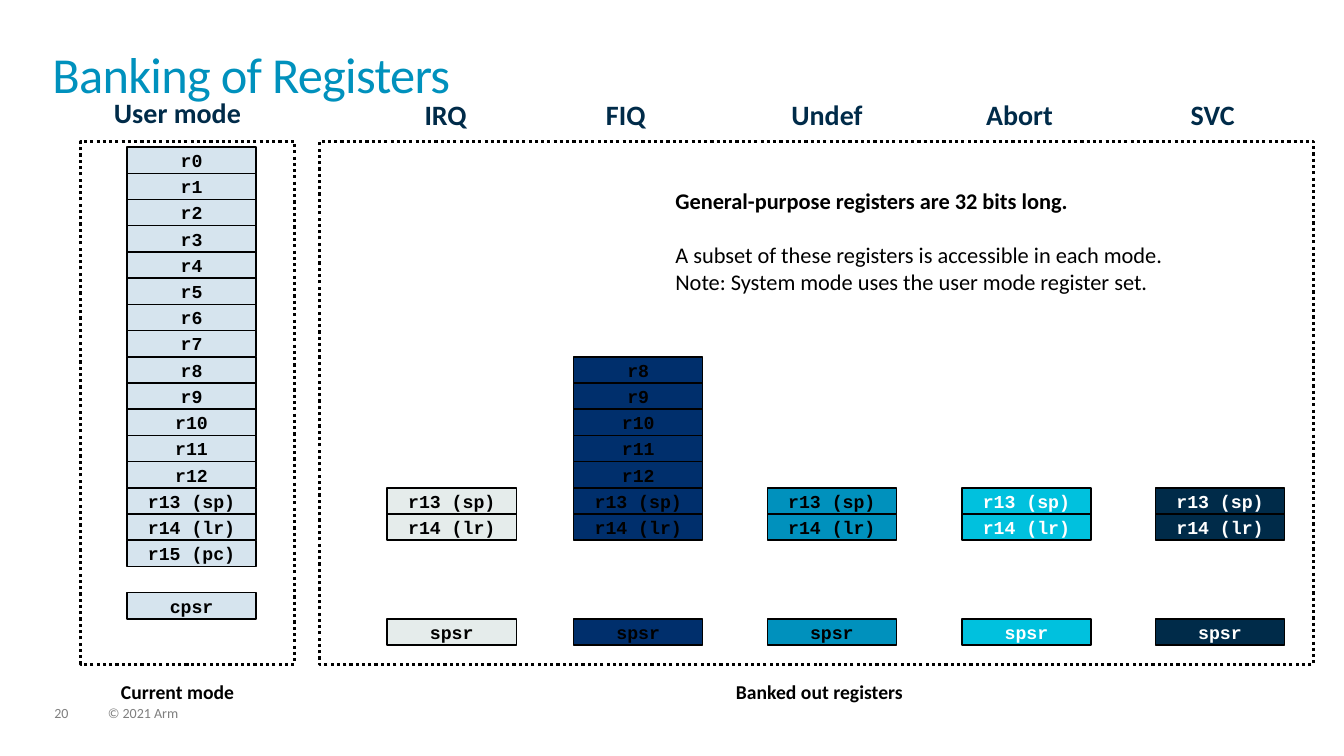
from pptx import Presentation
from pptx.dml.color import RGBColor
from pptx.enum.dml import MSO_LINE
from pptx.enum.shapes import MSO_SHAPE
from pptx.enum.text import MSO_ANCHOR, MSO_AUTO_SIZE, PP_ALIGN
from pptx.util import Pt

PX = 9144
SLIDE_SIZE = (1333, 750)
COLORS = {
    "black": "000000", "white": "FFFFFF", "gray": "7F7F7F",
    "title": "0091BD", "navy": "002B49", "user": "D6E4EE",
    "irq": "E5ECEB", "fiq": "002F6C", "undef": "0091BD", "abort": "00C1DE",
}
BODY_FONT, CODE_FONT = "Calibri", "Courier New"

TITLE = "Banking of Registers"
REGISTERS = [f"r{number}" for number in range(13)] + ["r13 (sp)", "r14 (lr)", "r15 (pc)"]
USER_ROWS = {**dict(enumerate(REGISTERS)), 17: "cpsr"}
FIQ_ROWS = {**dict(enumerate(REGISTERS[8:15], 8)), 18: "spsr"}
BANKED_ROWS = {**dict(enumerate(REGISTERS[13:15], 13)), 18: "spsr"}
MODES = [
    ("User mode", (104, 91, 164, 43), 126, "user", "black", USER_ROWS),
    ("IRQ", (412, 93, 71, 43), 384, "irq", "black", BANKED_ROWS),
    ("FIQ", (592, 93, 69, 43), 569, "fiq", "black", FIQ_ROWS),
    ("Undef", (776, 93, 97, 43), 761, "undef", "black", BANKED_ROWS),
    ("Abort", (969, 93, 97, 43), 954, "abort", "white", BANKED_ROWS),
    ("SVC", (1172, 93, 76, 43), 1146, "navy", "white", BANKED_ROWS),
]
FRAMES = [
    ((80, 140, 212, 519), "Current mode", (111, 670, 149, 32)),
    ((317, 140, 986, 519), "Banked out registers", (721, 670, 207, 32)),
]
NOTES = [
    ("General-purpose registers are 32 bits long.", True, 19.5),
    ("A subset of these registers is accessible in each mode.", False, 0),
    ("Note: System mode uses the user mode register set.", False, 0),
]
NOTES_BOX = (660, 143, 624, 193)
FOOTERS = [("20", (54, 701, 34, 15)), ("© 2021 Arm", (107, 701, 507, 15))]
FIRST_ROW_TOP, ROW_HEIGHT, CELL_WIDTH = 146, 26, 128
INSETS = (9, 4)


def color(name):
    return RGBColor.from_string(COLORS[name])


def emu(box):
    return [value * PX for value in box]


def prepare_frame(shape, insets, anchor=MSO_ANCHOR.TOP):
    frame = shape.text_frame
    frame.word_wrap = True
    frame.auto_size = MSO_AUTO_SIZE.NONE
    frame.vertical_anchor = anchor
    frame.margin_left = frame.margin_right = insets[0] * PX
    frame.margin_top = frame.margin_bottom = insets[1] * PX
    return frame


def add_run(paragraph, text, size, ink, bold=False, font=BODY_FONT, align=PP_ALIGN.LEFT):
    paragraph.alignment = align
    run = paragraph.add_run()
    run.text = text
    run.font.name = font
    run.font.size = Pt(size)
    run.font.bold = bold
    run.font.color.rgb = color(ink)
    return run


def add_label(slide, text, box, size, ink, bold=True, insets=INSETS):
    shape = slide.shapes.add_textbox(*emu(box))
    paragraph = prepare_frame(shape, insets).paragraphs[0]
    add_run(paragraph, text, size, ink, bold)
    return paragraph


def add_rectangle(slide, box, fill=None, line_width=1):
    shape = slide.shapes.add_shape(MSO_SHAPE.RECTANGLE, *emu(box))
    shape.shadow.inherit = False
    if fill:
        shape.fill.solid()
        shape.fill.fore_color.rgb = color(fill)
    else:
        shape.fill.background()
    shape.line.color.rgb = color("black")
    shape.line.width = Pt(line_width)
    return shape


def add_title(slide):
    title = slide.shapes.title
    title.left, title.top, title.width, title.height = emu((52, 52, 1228, 72))
    paragraph = prepare_frame(title, (0, 0)).paragraphs[0]
    paragraph.line_spacing = 0.85
    run = add_run(paragraph, TITLE, 36, "title")
    run.font._element.set("spc", "-50")


def add_mode(slide, name, label_box, left, fill, ink, rows):
    for row, register in rows.items():
        top = FIRST_ROW_TOP + row * ROW_HEIGHT
        cell = add_rectangle(slide, (left, top, CELL_WIDTH, ROW_HEIGHT), fill)
        frame = prepare_frame(cell, INSETS, MSO_ANCHOR.MIDDLE)
        add_run(frame.paragraphs[0], register, 13, ink, True, CODE_FONT, PP_ALIGN.CENTER)
    add_label(slide, name, label_box, 20, "navy")


def add_notes(slide):
    shape = slide.shapes.add_textbox(*emu(NOTES_BOX))
    frame = prepare_frame(shape, (10, 5), MSO_ANCHOR.MIDDLE)
    for index, (text, bold, gap) in enumerate(NOTES):
        paragraph = frame.add_paragraph() if index else frame.paragraphs[0]
        paragraph.space_after = Pt(gap)
        add_run(paragraph, text, 16, "black", bold)


def main():
    presentation = Presentation()
    presentation.slide_width, presentation.slide_height = emu(SLIDE_SIZE)
    slide = presentation.slides.add_slide(presentation.slide_layouts[5])
    add_title(slide)
    for text, box in FOOTERS:
        paragraph = add_label(slide, text, box, 10, "gray", False, (0, 0))
        paragraph.line_spacing = 0.9
    for mode in MODES:
        add_mode(slide, *mode)
    for box, caption, caption_box in FRAMES:
        frame = add_rectangle(slide, box, line_width=2.25)
        frame.line.dash_style = MSO_LINE.ROUND_DOT
        add_label(slide, caption, caption_box, 14, "black")
    add_notes(slide)
    presentation.save("out.pptx")


if __name__ == "__main__":
    main()
